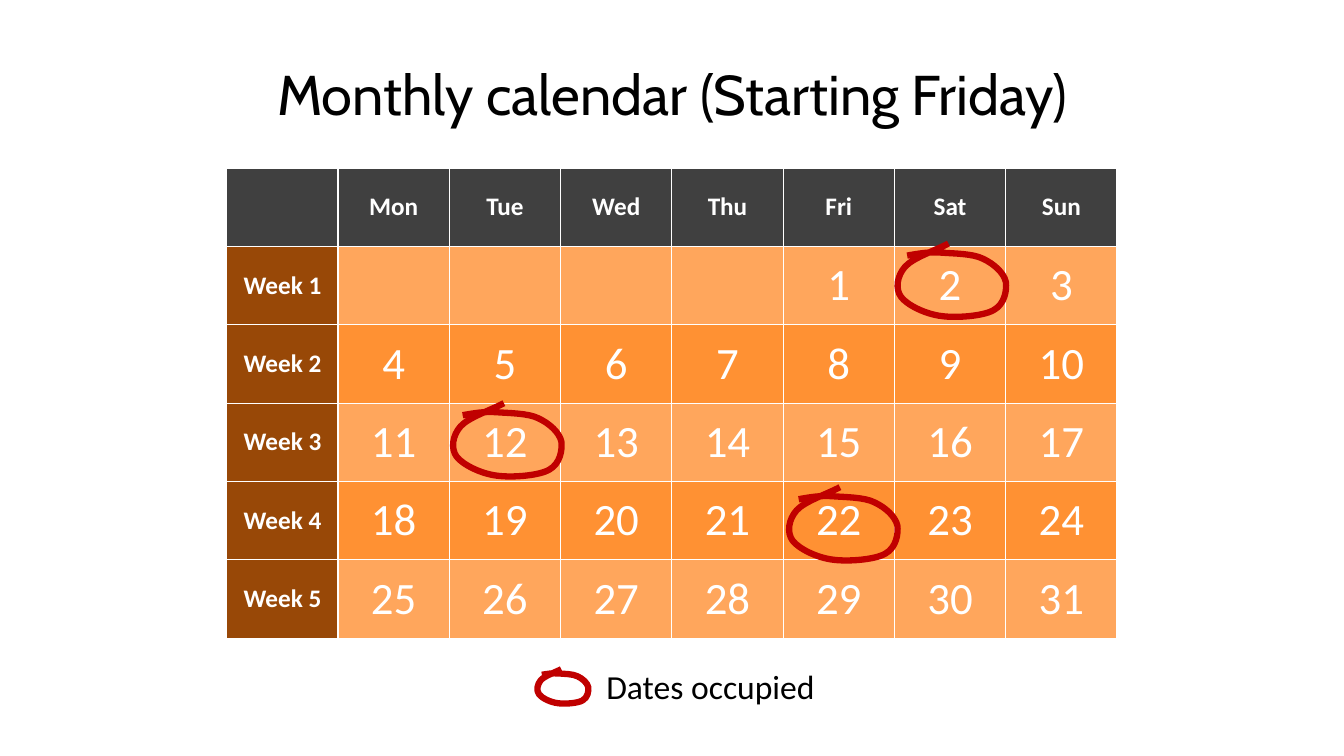
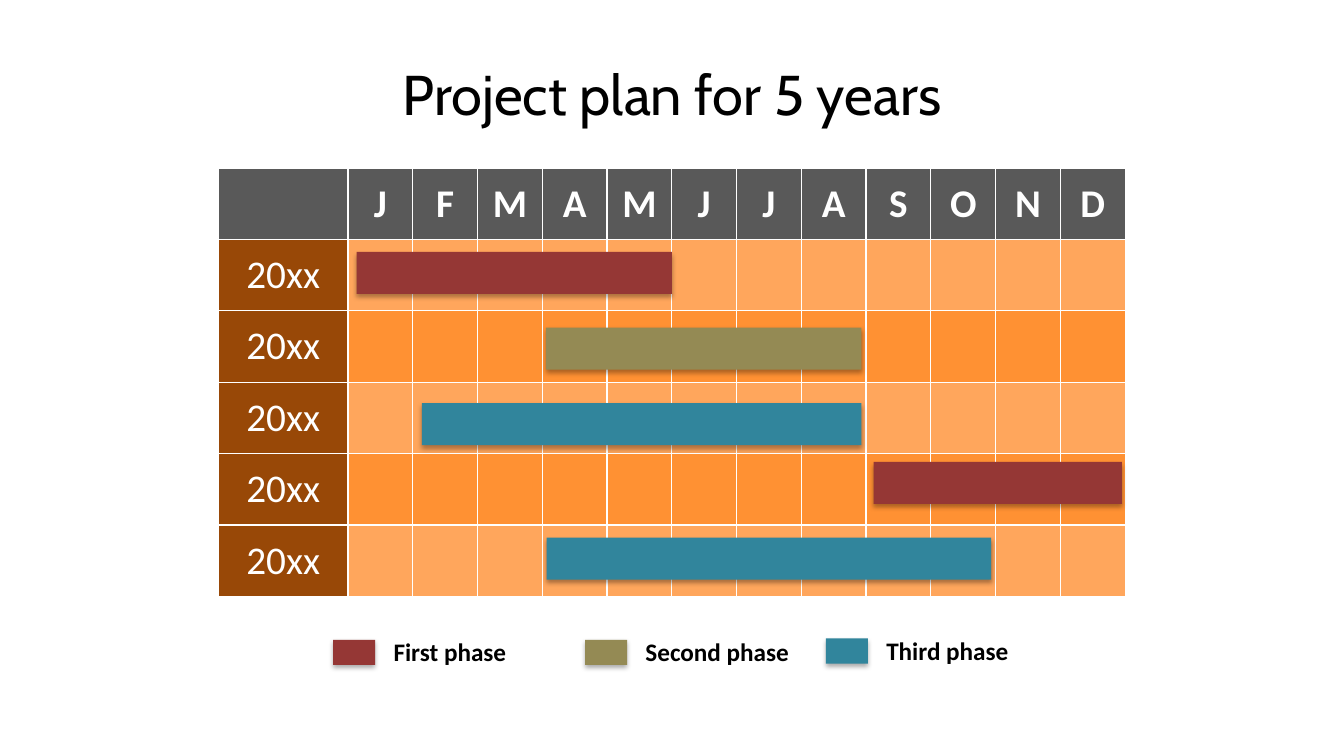
import pptx
import pptx.dml.color
import pptx.enum.shapes
import pptx.enum.text
import pptx.oxml
import pptx.oxml.ns
import pptx.util

Pt = pptx.util.Pt
COLORS = {
    "text": "000000", "white": "FFFFFF",
    "calendar_header": "404040", "plan_header": "595959",
    "row_label": "984807", "light_row": "FFA65C", "dark_row": "FF9133",
    "ring": "C00000",
    "First phase": "953735", "Second phase": "948A54", "Third phase": "31859C",
}
TITLE_FONT, BODY_FONT = "Cabin", "Calibri"
DRAWING_NS = pptx.oxml.ns.nsdecls("a")

# Hand-drawn ring in points: a start, then control, control, end per curve.
RING_WIDTH, RING_HEIGHT = 77, 52.5
RING_START = (36, 0)
RING_CURVES = [
    ((26.6, 5), (10.8, 10.1), (5, 16.6)),
    ((-0.7, 23), (-2.2, 32.4), (2.2, 38.2)),
    ((6.5, 43.9), (19.4, 50.4), (31, 51.8)),
    ((41.8, 53.3), (61.2, 51.8), (68.4, 47.5)),
    ((76.3, 43.2), (77.8, 33.1), (77, 27.4)),
    ((75.6, 20.9), (68.4, 14.4), (60.5, 10.8)),
    ((53.3, 7.2), (40.3, 7.2), (31, 6.5)),
    ((22.3, 5.8), (14.4, 7.2), (6.5, 8.6)),
]


def rgb(color):
    return pptx.dml.color.RGBColor.from_string(COLORS[color])


def add_run(paragraph, text, size, color="text", font=BODY_FONT, bold=False):
    run = paragraph.add_run()
    run.text = text
    run.font.size = Pt(size)
    run.font.name = font
    run.font.bold = bold
    run.font.color.rgb = rgb(color)


def add_title(slide, text):
    frame = slide.shapes.add_textbox(Pt(48), Pt(21.6), Pt(864), Pt(90)).text_frame
    frame.word_wrap = True
    frame.vertical_anchor = pptx.enum.text.MSO_ANCHOR.MIDDLE
    paragraph = frame.paragraphs[0]
    paragraph.alignment = pptx.enum.text.PP_ALIGN.CENTER
    add_run(paragraph, text, 40, font=TITLE_FONT)


def add_label(slide, text, left, top, width, height, size, bold=False):
    frame = slide.shapes.add_textbox(Pt(left), Pt(top), Pt(width), Pt(height)).text_frame
    frame.word_wrap = False
    frame.auto_size = pptx.enum.text.MSO_AUTO_SIZE.SHAPE_TO_FIT_TEXT
    add_run(frame.paragraphs[0], text, size, bold=bold)


def add_borders(cell):
    """Draw white 1 pt lines on all sides; they must precede the cell's fill."""
    properties = cell._tc.get_or_add_tcPr()
    for position, side in enumerate(("lnL", "lnR", "lnT", "lnB")):
        properties.insert(position, pptx.oxml.parse_xml(
            f'<a:{side} {DRAWING_NS} w="{Pt(1)}"><a:solidFill>'
            f'<a:srgbClr val="{COLORS["white"]}"/></a:solidFill></a:{side}>'))


def add_grid(slide, rows, left, top, column_widths, row_height, header_color,
             header_size, label_size, label_bold, value_size):
    """Add a table with a header row, a label column and alternating rows."""
    table = slide.shapes.add_table(
        len(rows), len(column_widths), Pt(left), Pt(top),
        Pt(sum(column_widths)), Pt(row_height * len(rows))).table
    table.horz_banding = False
    for column, width in zip(table.columns, column_widths):
        column.width = Pt(width)
    for row_index, texts in enumerate(rows):
        table.rows[row_index].height = Pt(row_height)
        for column_index, text in enumerate(texts):
            if row_index == 0:
                fill, size, bold = header_color, header_size, True
            elif column_index == 0:
                fill, size, bold = "row_label", label_size, label_bold
            else:
                fill = "light_row" if row_index % 2 else "dark_row"
                size, bold = value_size, False
            cell = table.cell(row_index, column_index)
            cell.fill.solid()
            cell.fill.fore_color.rgb = rgb(fill)
            add_borders(cell)
            cell.vertical_anchor = pptx.enum.text.MSO_ANCHOR.MIDDLE
            paragraph = cell.text_frame.paragraphs[0]
            paragraph.alignment = pptx.enum.text.PP_ALIGN.CENTER
            if text:
                add_run(paragraph, text, size, "white", bold=bold)


def curve_outline(outline, scale):
    """Replace the straight segments of a freeform outline by the ring's curves."""
    for segment in list(outline):
        outline.remove(segment)
    for tag, points in [("moveTo", [RING_START])] + [
            ("cubicBezTo", curve) for curve in RING_CURVES]:
        marks = "".join(
            f'<a:pt x="{Pt(scale * x)}" y="{Pt(scale * y)}"/>' for x, y in points)
        outline.append(pptx.oxml.parse_xml(f"<a:{tag} {DRAWING_NS}>{marks}</a:{tag}>"))


def add_ring(slide, left, top, scale=1):
    right, bottom = left + scale * RING_WIDTH, top + scale * RING_HEIGHT
    builder = slide.shapes.build_freeform(Pt(left), Pt(top))
    builder.add_line_segments(
        [(Pt(right), Pt(top)), (Pt(right), Pt(bottom)), (Pt(left), Pt(bottom))],
        close=False)
    ring = builder.convert_to_shape()
    curve_outline(next(ring._element.iter(pptx.oxml.ns.qn("a:path"))), scale)
    ring.shadow.inherit = False
    ring.fill.background()
    ring.line.color.rgb = rgb("ring")
    ring.line.width = Pt(4.5)


def add_phase_bar(slide, phase, left, top, width, height):
    bar = slide.shapes.add_shape(
        pptx.enum.shapes.MSO_SHAPE.RECTANGLE, Pt(left), Pt(top), Pt(width), Pt(height))
    bar.fill.solid()
    bar.fill.fore_color.rgb = rgb(phase)
    bar.line.fill.background()
    bar.shadow.inherit = False
    effects = bar._element.spPr.find(pptx.oxml.ns.qn("a:effectLst"))
    effects.append(pptx.oxml.parse_xml(
        f'<a:outerShdw {DRAWING_NS} blurRad="{Pt(3.5)}" dist="{Pt(2.2)}" '
        f'dir="5400000" rotWithShape="0"><a:srgbClr val="{COLORS["text"]}">'
        '<a:alpha val="32000"/></a:srgbClr></a:outerShdw>'))


def build_calendar(slide):
    add_title(slide, "Monthly calendar (Starting Friday)")
    first_weekday = 4
    rows = [["", "Mon", "Tue", "Wed", "Thu", "Fri", "Sat", "Sun"]]
    for week in range(5):
        dates = [7 * week + weekday - first_weekday + 1 for weekday in range(7)]
        rows.append([f"Week {week + 1}"] + [str(date) if date > 0 else "" for date in dates])
    add_grid(slide, rows, 162, 120, [79.5] * 8, 56, "calendar_header",
             header_size=18, label_size=18, label_bold=True, value_size=32)
    for left, top in ((641.5, 174), (324, 288), (564, 348)):
        add_ring(slide, left, top)
    add_ring(slide, 384, 478, scale=0.47)
    add_label(slide, "Dates occupied", 426, 472, 165, 36, 24)


def build_plan(slide):
    add_title(slide, "Project plan for 5 years")
    rows = [["", *"JFMAMJJASOND"]] + [["20xx"] + [""] * 12 for _ in range(5)]
    month_width = 648 / 14
    add_grid(slide, rows, 156, 120, [2 * month_width] + [month_width] * 12, 51,
             "plan_header", header_size=28, label_size=28, label_bold=False, value_size=18)
    for phase, left, top, width in (
            ("First phase", 254.7, 180, 225.3),
            ("Second phase", 390, 234, 225.3),
            ("Third phase", 301.3, 288, 314),
            ("First phase", 624, 330, 177.3),
            ("Third phase", 390.5, 384, 317.5)):
        add_phase_bar(slide, phase, left, top, width, 30)
    for phase, left, top, label_width in (
            ("First phase", 238, 457, 96),
            ("Second phase", 418, 457, 117),
            ("Third phase", 590, 456, 102)):
        add_phase_bar(slide, phase, left, top, 30, 18)
        add_label(slide, phase, left + 36, top - 6, label_width, 29, 18, bold=True)


def main():
    presentation = pptx.Presentation()
    presentation.slide_width, presentation.slide_height = Pt(960), Pt(540)
    blank_layout = presentation.slide_layouts[6]
    for build in (build_calendar, build_plan):
        build(presentation.slides.add_slide(blank_layout))
    presentation.save("out.pptx")


if __name__ == "__main__":
    main()
